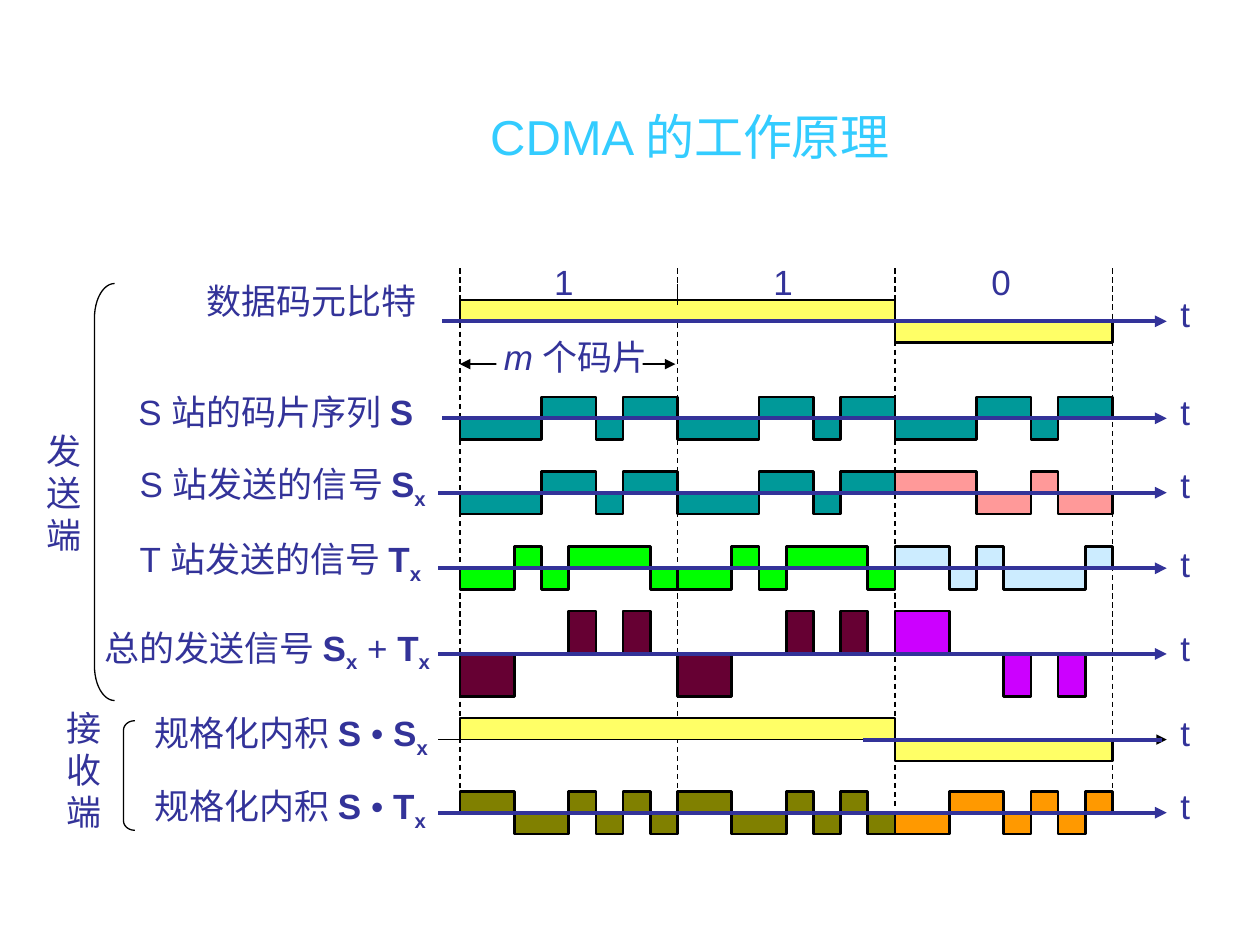
from itertools import groupby

from lxml import etree
from pptx import Presentation
from pptx.dml.color import RGBColor
from pptx.enum import dml, shapes, text
from pptx.oxml import ns
from pptx.util import Inches, Pt

NAVY = RGBColor(0x33, 0x33, 0x99)
SKY = RGBColor(0x33, 0xCC, 0xFF)
BLACK = RGBColor(0x00, 0x00, 0x00)
WHITE = RGBColor(0xFF, 0xFF, 0xFF)
YELLOW = RGBColor(0xFF, 0xFF, 0x66)
TEAL = RGBColor(0x00, 0x99, 0x99)
PINK = RGBColor(0xFF, 0x99, 0x99)
GREEN = RGBColor(0x00, 0xFF, 0x00)
PALE_BLUE = RGBColor(0xCC, 0xEC, 0xFF)
MAROON = RGBColor(0x66, 0x00, 0x33)
MAGENTA = RGBColor(0xCC, 0x00, 0xFF)
OLIVE = RGBColor(0x80, 0x80, 0x00)
ORANGE = RGBColor(0xFF, 0x99, 0x00)

PLAIN = {}
BOLD = {"bold": True}
ITALIC = {"italic": True}
SUBSCRIPT = {"bold": True, "subscript": True}

presentation = Presentation()
presentation.slide_width = Inches(10)
presentation.slide_height = Inches(7.5)
slide = presentation.slides.add_slide(presentation.slide_layouts[6])


def add_text(box, paragraphs, size=20, color=NAVY, line_spacing=None):
    """Add a text box; each paragraph is a list of (wording, format) pairs."""
    shape = slide.shapes.add_textbox(*map(Inches, box))
    frame = shape.text_frame
    frame.word_wrap = False
    frame.auto_size = text.MSO_AUTO_SIZE.SHAPE_TO_FIT_TEXT
    for index, pieces in enumerate(paragraphs):
        paragraph = frame.paragraphs[0] if index == 0 else frame.add_paragraph()
        if line_spacing:
            paragraph.line_spacing = line_spacing
        for wording, style in pieces:
            run = paragraph.add_run()
            run.text = wording
            run.font.color.rgb = color
            values = {"name": "Arial", "size": Pt(size), **style}
            if values.pop("subscript", False):
                run._r.get_or_add_rPr().set("baseline", "-25000")
            for name, value in values.items():
                setattr(run.font, name, value)
    return shape


def add_line(start, end, color=BLACK, width=0.75, dashed=False, arrows=()):
    """Add a line; arrows may hold headEnd (at start) and tailEnd (at end)."""
    points = map(Inches, (*start, *end))
    connector = slide.shapes.add_connector(shapes.MSO_CONNECTOR.STRAIGHT, *points)
    connector.line.color.rgb = color
    connector.line.width = Pt(width)
    if dashed:
        connector.line.dash_style = dml.MSO_LINE.DASH
    properties = connector._element.spPr
    for arrow in arrows:
        etree.SubElement(properties.find(ns.qn("a:ln")), ns.qn(f"a:{arrow}"), type="triangle")
    etree.SubElement(properties, ns.qn("a:effectLst"))


title = add_text((1.26, 0.28, 8.52, 1.6), [[("CDMA 的工作原理 ", PLAIN)]], 28, SKY)
title.text_frame.word_wrap = True
title.text_frame.auto_size = text.MSO_AUTO_SIZE.NONE
title.text_frame.vertical_anchor = text.MSO_ANCHOR.MIDDLE
title.text_frame.paragraphs[0].alignment = text.PP_ALIGN.CENTER

# Time grid: three bits of eight chips
LEFT, RIGHT, CHIPS = 3.65, 8.83, 8
bit_width = (RIGHT - LEFT) / 3
chip_width = bit_width / CHIPS
bit_edges = [LEFT + bit_width * number for number in range(4)]

add_line((LEFT, 2.89), (5.36, 2.89), arrows=("headEnd", "tailEnd"))
for x, bottom in zip(bit_edges, (6.28, 6.26, 6.42, 6.27)):
    add_line((x, 2.13), (x, bottom), dashed=True)

# Each signal is a list of (colour, chip levels), one after another in time
s_code = [-1, -1, -1, 1, 1, -1, 1, 1]
t_code = [-1, -1, 1, -1, 1, 1, 1, -1]
sum_code = [s + t for s, t in zip(s_code, t_code)]
product_code = [s * t for s, t in zip(s_code, t_code)]
bits = [1, 1, -1]
data_signal = [(YELLOW, [bit for bit in bits for _ in range(CHIPS)])]
code_signals = [
    [(one_color if bit > 0 else zero_color, [bit * level for level in code]) for bit in bits]
    for code, one_color, zero_color in (
        (s_code, TEAL, PINK),
        (t_code, GREEN, PALE_BLUE),
        (sum_code, MAROON, MAGENTA),
        (product_code, OLIVE, ORANGE),
    )
]
s_signal, t_signal, sum_signal, product_signal = code_signals

X = ("x", SUBSCRIPT)
S = ("S", BOLD)
T = ("T", BOLD)
inner_product = [("规格化内积 ", PLAIN), ("S ", BOLD), ("• ", PLAIN)]
# axis height, axis start, signal, label box, label, top of "t"
rows = [
    (2.55, 3.51, data_signal, (1.54, 2.17, 1.92, 0.44), [("数据码元比特", PLAIN)], 2.27),
    (3.32, 3.51, [(TEAL, s_code)] * 3, (1, 3.1, 2.56, 0.39),
     [("S 站的码片序列 ", PLAIN), S], 3.05),
    (3.91, 3.48, s_signal, (1.01, 3.62, 2.65, 0.48), [("S 站发送的信号 ", PLAIN), S, X], 3.63),
    (4.51, 3.48, t_signal, (1.01, 4.22, 2.62, 0.48), [("T 站发送的信号 ", PLAIN), T, X], 4.26),
    (5.19, 3.48, sum_signal, (0.73, 4.92, 2.9, 0.48),
     [("总的发送信号 ", PLAIN), S, X, (" + ", PLAIN), T, X], 4.92),
    (5.87, 3.48, data_signal, (1.13, 5.6, 2.48, 0.48), [*inner_product, S, X], 5.6),
    (6.45, 3.48, product_signal, (1.13, 6.18, 2.47, 0.48), [*inner_product, T, X], 6.18),
]
AMPLITUDE = 0.17

for axis, axis_start, signal, label_box, label, t_top in rows:
    x = LEFT
    for color, levels in signal:
        builder = slide.shapes.build_freeform(Inches(x), Inches(axis))
        points = []
        for level, chips in groupby(levels):
            y = axis - AMPLITUDE * level
            points.append((Inches(x), Inches(y)))
            x += chip_width * len(list(chips))
            points.append((Inches(x), Inches(y)))
        points.append((Inches(x), Inches(axis)))
        builder.add_line_segments(points, close=False)
        wave = builder.convert_to_shape()
        wave.shadow.inherit = False
        wave.fill.solid()
        wave.fill.fore_color.rgb = color
        wave.line.color.rgb = BLACK
        wave.line.width = Pt(1.5)

    is_data_product = axis == 5.87
    axis_color, axis_width = (BLACK, 0.75) if is_data_product else (NAVY, 2.25)
    add_line((axis_start, axis), (9.26, axis), axis_color, axis_width, arrows=("tailEnd",))
    if is_data_product:
        add_line((6.85, axis), (9.22, axis), NAVY, 2.25)
    add_text(label_box, [label], line_spacing=0.85 if label_box[3] == 0.39 else None)
    add_text((9.27, t_top, 0.27, 0.44), [[("t", PLAIN)]])

add_line((bit_edges[1], 2.25), (bit_edges[1], 2.42))
for x, bit in zip((4.3, 6.04, 7.77), "110"):
    add_text((x, 2.02, 0.35, 0.44), [[(bit, PLAIN)]])

# Chip count, on a white patch that interrupts its dimension arrow
patch = slide.shapes.add_shape(
    shapes.MSO_SHAPE.RECTANGLE, Inches(3.94), Inches(2.72), Inches(1.16), Inches(0.3))
patch.shadow.inherit = False
patch.fill.solid()
patch.fill.fore_color.rgb = WHITE
patch.line.fill.background()
add_text((3.9, 2.61, 1.41, 0.44), [[("m ", ITALIC), ("个码片", PLAIN)]])

# Sending and receiving ends
for wording, text_box, bracket_box, curve in (
    ("发送端", (0.27, 3.36, 0.48, 1.1), (0.75, 2.25, 0.16, 3.31), 1.72),
    ("接收端", (0.43, 5.56, 0.48, 1.1), (0.98, 5.72, 0.09, 0.87), 0.83),
):
    add_text(text_box, [[(character, PLAIN)] for character in wording])
    bracket = slide.shapes.add_shape(shapes.MSO_SHAPE.LEFT_BRACKET, *map(Inches, bracket_box))
    bracket.adjustments[0] = curve
    bracket.shadow.inherit = False
    bracket.fill.background()
    bracket.line.color.rgb = BLACK
    bracket.line.width = Pt(0.75)

presentation.save("out.pptx")
